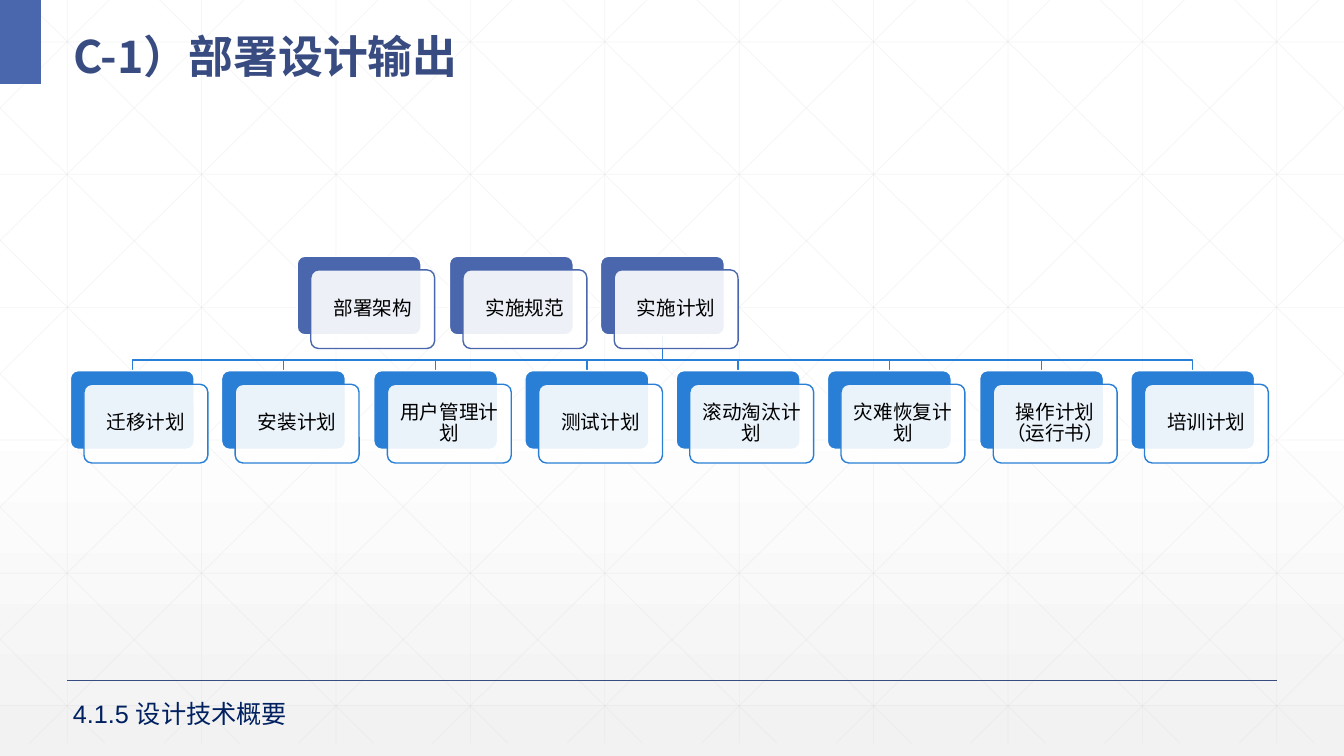
from copy import deepcopy

from lxml.etree import SubElement
from pptx import Presentation
from pptx.dml.color import RGBColor
from pptx.enum.shapes import MSO_CONNECTOR as CONNECTOR, MSO_SHAPE as SHAPE
from pptx.enum.text import MSO_ANCHOR as ANCHOR, MSO_AUTO_SIZE as AUTO_SIZE, PP_ALIGN as ALIGN
from pptx.oxml.ns import qn
from pptx.util import Pt

PX = 9525  # EMU per px at 96 px to the inch
WIDTH, HEIGHT = 1280, 720
CJK_FONT = "Noto Sans CJK SC"
COLORS = {
    "white": "FFFFFF", "mist": "F2F2F2", "grid": "D9D9D9", "black": "000000",
    "indigo": "4A66AC", "navy": "384C81", "blue": "297FD5", "footer": "002060",
}

GRID_STEP = 128
GRID_BOTTOM = 708
DIAGONAL_RUN = 716

CARD_W, CARD_H, CARD_OFFSET = 118, 75, 13
OUTPUT_TOP, PLAN_TOP = 244, 353
OUTPUTS = ["部署架构", "实施规范", "实施计划"]
PLANS = ["迁移计划", "安装计划", "用户管理计划", "测试计划",
         "滚动淘汰计划", "灾难恢复计划", "操作计划（运行书）", "培训计划"]
FIRST_OUTPUT_SLOT = 1.5


def px(*lengths):
    return [length * PX for length in lengths]


def rgb(name):
    return RGBColor.from_string(COLORS[name])


def set_opacity(shape, percent):
    """Make the first colour of the shape's fill or line translucent."""
    color = shape.element.spPr.find(".//" + qn("a:srgbClr"))
    SubElement(color, qn("a:alpha")).set("val", str(percent * 1000))


def set_text(frame, text, size, color, font="Arial", bold=False, align=ALIGN.LEFT,
             anchor=ANCHOR.TOP, spacing=1.0, margin=None):
    frame.word_wrap = True
    frame.auto_size = AUTO_SIZE.NONE
    frame.vertical_anchor = anchor
    if margin is not None:
        frame.margin_left = frame.margin_right = margin * PX
        frame.margin_top = frame.margin_bottom = margin * PX
    paragraph = frame.paragraphs[0]
    paragraph.alignment = align
    paragraph.line_spacing = spacing
    run = paragraph.add_run()
    run.text = text
    run.font.size = Pt(size)
    run.font.bold = bold
    run.font.name = font
    run.font.color.rgb = rgb(color)
    SubElement(run.font._element, qn("a:ea")).set("typeface", CJK_FONT)


def add_line(slide, x1, y1, x2, y2, color, weight):
    line = slide.shapes.add_connector(CONNECTOR.STRAIGHT, *px(x1, y1, x2, y2))
    line.line.color.rgb = rgb(color)
    line.line.width = Pt(weight)
    SubElement(line.element.spPr, qn("a:effectLst"))
    return line


def add_block(slide, kind, x, y, w, h, fill, outline=None):
    block = slide.shapes.add_shape(kind, *px(x, y, w, h))
    block.shadow.inherit = False
    block.fill.solid()
    block.fill.fore_color.rgb = rgb(fill)
    if outline:
        block.line.color.rgb = rgb(outline)
        block.line.width = Pt(1)
    else:
        block.line.fill.background()
    return block


def fill_background(slide):
    fill = slide.background.fill
    fill.gradient()
    fill.gradient_angle = 270
    stop_list = slide.element.find(".//" + qn("a:gsLst"))
    stop_list.insert(0, deepcopy(stop_list[0]))
    shades = [(0, "white"), (0.53, "white"), (1, "mist")]
    for stop, (position, color) in zip(fill.gradient_stops, shades):
        stop.position = position
        stop.color.rgb = rgb(color)


def add_grid(slide):
    ends = [(x, 0, x, GRID_BOTTOM) for x in range(64, WIDTH, GRID_STEP)]
    for row in range(6):
        y = round(40 + 126.4 * row)
        ends.append((0, y, WIDTH, y))
    for column in range(-5, 10):
        x = 24 + GRID_STEP * column
        left, right = max(x, 0), min(x + DIAGONAL_RUN, WIDTH)
        top, bottom = (round((edge - x) * GRID_BOTTOM / DIAGONAL_RUN) for edge in (left, right))
        ends.append((left, top, right, bottom))
        ends.append((WIDTH - left, top, WIDTH - right, bottom))
    for end in ends:
        set_opacity(add_line(slide, *end, "grid", 0.5), 25)


def card_left(slot):
    return 67 + round(1010 * slot / 7)


def add_card(slide, slot, top, label, color):
    left = card_left(slot)
    add_block(slide, SHAPE.ROUNDED_RECTANGLE, left, top, CARD_W, CARD_H,
              color, "white").adjustments[0] = 0.1
    front = add_block(slide, SHAPE.ROUNDED_RECTANGLE, left + CARD_OFFSET, top + CARD_OFFSET,
                      CARD_W, CARD_H, "white", color)
    front.adjustments[0] = 0.1
    set_opacity(front, 90)
    set_text(front.text_frame, label, 14, "black", align=ALIGN.CENTER,
             anchor=ANCHOR.MIDDLE, spacing=0.9, margin=8)


def add_branch(slide, parent_slot, child_slot):
    parent_x, child_x = (card_left(slot) + CARD_W // 2 for slot in (parent_slot, child_slot))
    bend = PLAN_TOP - 10
    builder = slide.shapes.build_freeform(parent_x, OUTPUT_TOP + CARD_H, scale=PX)
    builder.add_line_segments([(parent_x, bend), (child_x, bend), (child_x, PLAN_TOP)],
                              close=False)
    branch = builder.convert_to_shape()
    branch.shadow.inherit = False
    branch.fill.background()
    branch.line.color.rgb = rgb("blue")
    branch.line.width = Pt(1)


def add_title(slide, text):
    title = slide.shapes.title
    title.left, title.top, title.width, title.height = px(60, 10, 1192, 70)
    set_text(title.text_frame, text, 32, "navy", font=CJK_FONT, bold=True,
             anchor=ANCHOR.MIDDLE, spacing=1.3)
    slide.shapes.element.append(title.element)  # in front of the grid


def main():
    deck = Presentation()
    deck.slide_width, deck.slide_height = px(WIDTH, HEIGHT)
    slide = deck.slides.add_slide(deck.slide_layouts[5])

    fill_background(slide)
    add_grid(slide)
    add_line(slide, 64, 648, 1216, 648, "navy", 1)
    add_block(slide, SHAPE.RECTANGLE, 0, 0, 39, 80, "indigo")
    add_title(slide, "C-1）部署设计输出")

    parent_slot = FIRST_OUTPUT_SLOT + OUTPUTS.index("实施计划")
    for slot in range(len(PLANS)):
        add_branch(slide, parent_slot, slot)
    for index, label in enumerate(OUTPUTS):
        add_card(slide, FIRST_OUTPUT_SLOT + index, OUTPUT_TOP, label, "indigo")
    for slot, label in enumerate(PLANS):
        add_card(slide, slot, PLAN_TOP, label, "blue")

    footer = slide.shapes.add_textbox(*px(60, 660, 339, 38))
    set_text(footer.text_frame, "4.1.5 设计技术概要", 18, "footer")
    deck.save("out.pptx")


if __name__ == "__main__":
    main()
